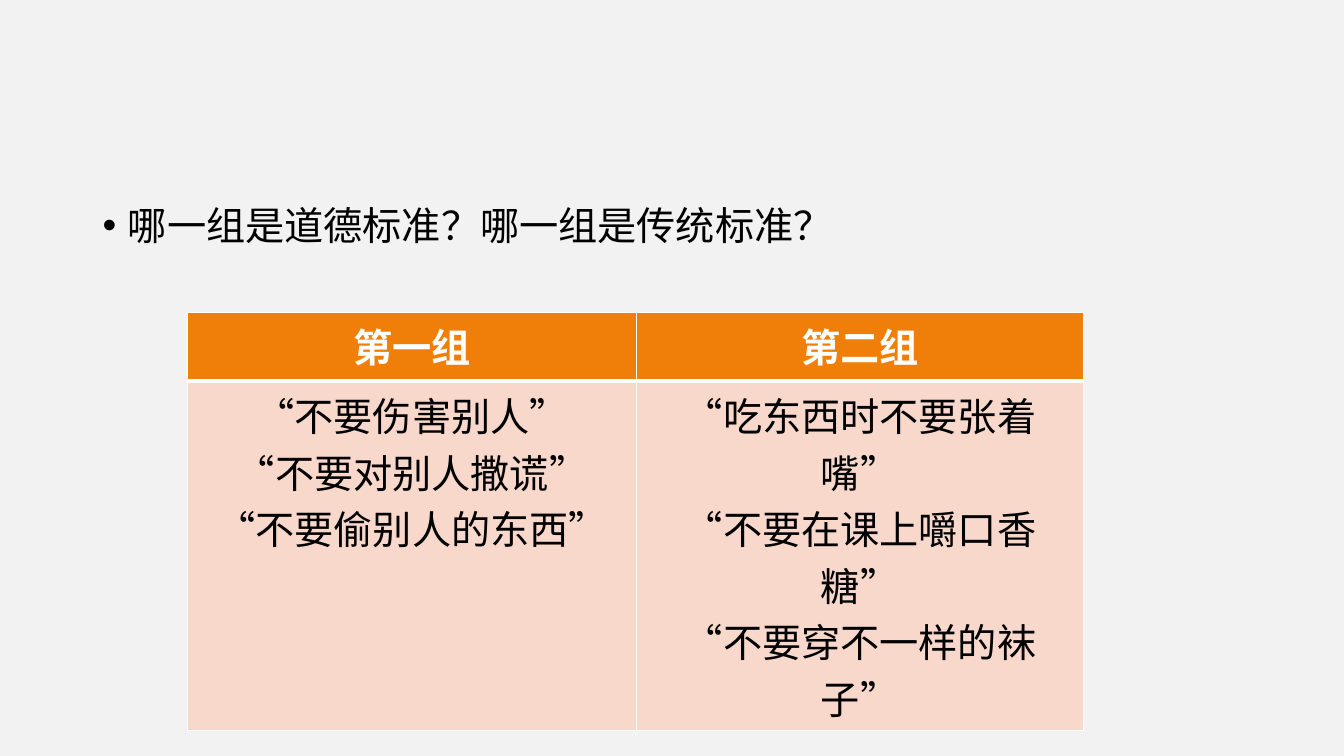
import pptx
import pptx.util
import pptx.dml.color
import pptx.enum.lang
import pptx.enum.text
import pptx.oxml
import pptx.oxml.ns
from dataclasses import dataclass

Cm = pptx.util.Cm
Pt = pptx.util.Pt

QUESTION = "哪一组是道德标准？哪一组是传统标准？"
GROUPS = {
    "第一组": ["“不要伤害别人”", "“不要对别人撒谎”", "“不要偷别人的东西”"],
    "第二组": ["“吃东西时不要张着嘴”", "“不要在课上嚼口香糖”", "“不要穿不一样的袜子”"],
}


@dataclass(frozen=True)
class Theme:
    page: str = "F2F2F2"
    ink: str = "000000"
    light: str = "FFFFFF"
    header: str = "F07F09"
    body: str = "F9D8CC"
    font: str = "Arial"
    size: int = 28


THEME = Theme()
PAGE_SIZE = (33.87, 19.05)
QUESTION_BOX = {"left": 2.33, "top": 5.08, "width": 29.21, "height": 12.09}
TABLE_LEFT, TABLE_TOP = 4.72, 7.87
COLUMN_WIDTHS = (11.33, 11.25)
ROW_HEIGHTS = (1.73, 4.47)
THIN, THICK = 1, 3


def rgb(value):
    return pptx.dml.color.RGBColor.from_string(value)


def apply(target, values):
    for name, value in values.items():
        setattr(target, name, value)


def write(para, text, color, bold=False):
    span = para.add_run()
    span.text = text
    apply(span.font, {
        "name": THEME.font,
        "size": Pt(THEME.size),
        "bold": bold,
        "language_id": pptx.enum.lang.MSO_LANGUAGE_ID.SIMPLIFIED_CHINESE,
    })
    span.font.color.rgb = rgb(color)


def add_bullet(para):
    properties = para._p.get_or_add_pPr()
    apply_indent = {"marL": Cm(0.64), "indent": -Cm(0.64)}
    for name, value in apply_indent.items():
        properties.set(name, str(int(value)))
    space = pptx.oxml.ns.nsdecls("a")
    for tag in (f'<a:buFont {space} typeface="{THEME.font}"/>',
                f'<a:buChar {space} char="•"/>'):
        properties.append(pptx.oxml.parse_xml(tag))


def add_borders(cell, widths):
    properties = cell._tc.get_or_add_tcPr()
    for side, width in widths.items():
        properties.append(pptx.oxml.parse_xml(
            f'<a:ln{side} {pptx.oxml.ns.nsdecls("a")} w="{int(Pt(width))}">'
            f'<a:solidFill><a:srgbClr val="{THEME.light}"/></a:solidFill>'
            f'</a:ln{side}>'))


def fill_cell(cell, lines, fill, color, bold, widths):
    add_borders(cell, widths)
    cell.fill.solid()
    cell.fill.fore_color.rgb = rgb(fill)
    frame = cell.text_frame
    for index, line in enumerate(lines):
        para = frame.add_paragraph() if index else frame.paragraphs[0]
        para.alignment = pptx.enum.text.PP_ALIGN.CENTER
        write(para, line, color, bold)


def add_question(page):
    box = page.placeholders[1]
    apply(box, {name: Cm(value) for name, value in QUESTION_BOX.items()})
    para = box.text_frame.paragraphs[0]
    add_bullet(para)
    apply(para, {"line_spacing": 0.9, "space_before": Pt(0)})
    write(para, QUESTION, THEME.ink)


def add_groups(page):
    table = page.shapes.add_table(
        len(ROW_HEIGHTS), len(GROUPS), Cm(TABLE_LEFT), Cm(TABLE_TOP),
        Cm(sum(COLUMN_WIDTHS)), Cm(sum(ROW_HEIGHTS))).table
    for row, height in zip(table.rows, ROW_HEIGHTS):
        row.height = Cm(height)
    body_edges = {"L": THIN, "R": THIN, "T": THICK, "B": THIN}
    header_edges = {"L": THIN, "R": THIN, "T": THIN, "B": THICK}
    for index, (heading, rules) in enumerate(GROUPS.items()):
        table.columns[index].width = Cm(COLUMN_WIDTHS[index])
        fill_cell(table.cell(0, index), [heading], THEME.header, THEME.light, True, header_edges)
        fill_cell(table.cell(1, index), rules, THEME.body, THEME.ink, False, body_edges)


def main():
    deck = pptx.Presentation()
    deck.slide_width, deck.slide_height = map(Cm, PAGE_SIZE)
    page = deck.slides.add_slide(deck.slide_layouts[1])
    page.background.fill.solid()
    page.background.fill.fore_color.rgb = rgb(THEME.page)
    title = page.shapes.title
    title.element.getparent().remove(title.element)
    add_question(page)
    add_groups(page)
    deck.save("out.pptx")


if __name__ == "__main__":
    main()
